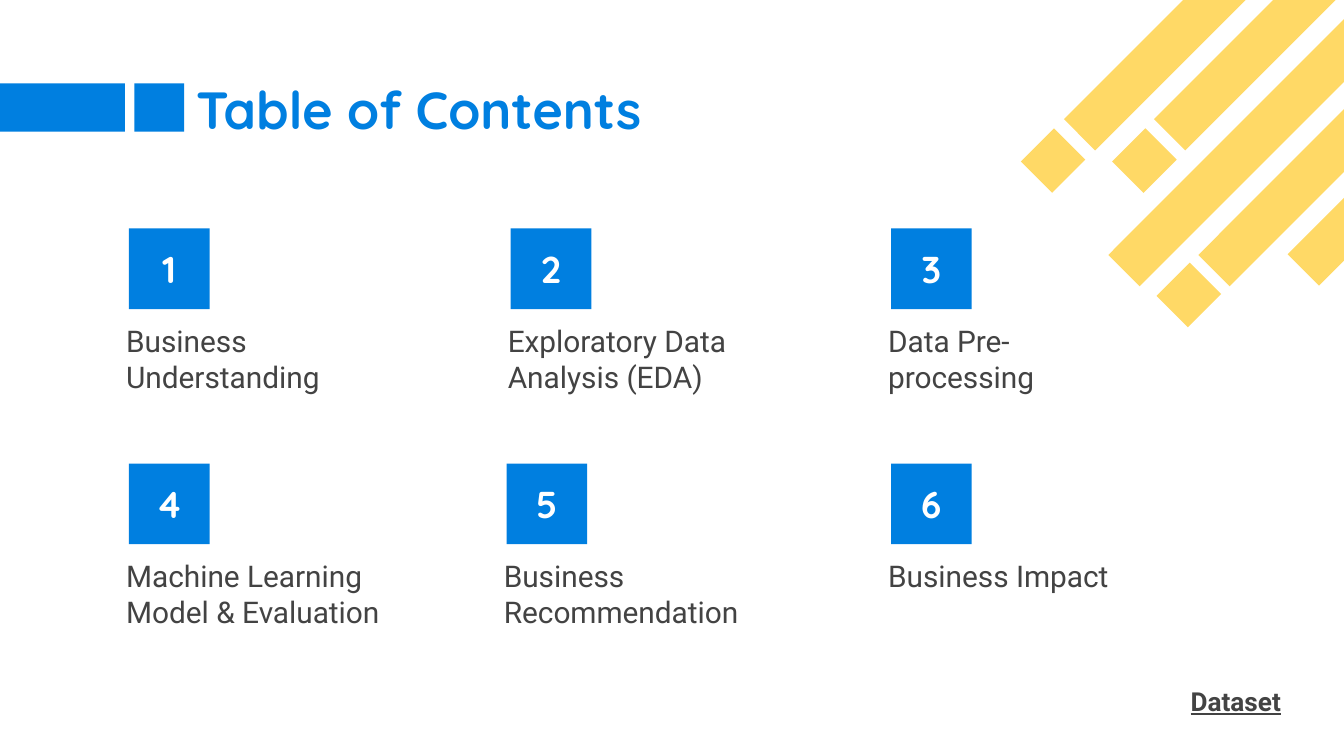
"""Build a table of contents slide with six numbered topics."""
from pptx import Presentation
from pptx import util as u
from pptx.dml.color import RGBColor
from pptx.enum import shapes, text

BLUE = RGBColor(0x00, 0x7F, 0xE0)
YELLOW = RGBColor(0xFF, 0xD9, 0x66)
GRAY = RGBColor(0x43, 0x43, 0x43)
WHITE = RGBColor(0xFF, 0xFF, 0xFF)

TITLE = "Table of Contents"
FOOTER = "Dataset"
TOPICS = [
    ("Business Understanding", 0.96, 2.38),
    ("Exploratory Data Analysis (EDA)", 3.8, 2.38),
    ("Data Pre-processing", 6.63, 2.17),
    ("Machine Learning Model & Evaluation", 0.96, 2.38),
    ("Business Recommendation", 3.77, 2.38),
    ("Business Impact", 6.63, 2.38),
]
COLUMNS, FIRST_ROW, ROW_STEP = 3, 1.7, 1.75
BADGE_SIZE, LABEL_OFFSET, LABEL_HEIGHT = 0.6, 0.12, 0.7

STRIPE_HEIGHT = 0.33
STRIPES = [
    (7.66, 1.03, 0.35), (7.59, -0.23, 3.02),
    (8.34, 1.03, 0.35), (8.26, -0.23, 3.02),
    (7.92, 0.78, 3.02), (9.5, 1.37, 1.34),
    (8.59, 0.78, 3.02), (8.67, 2.03, 0.35),
]
TITLE_BARS = [(0, 0.93), (1, 0.37)]


def add_rectangle(slide, left, top, width, height, color, rotation=0):
    shape = slide.shapes.add_shape(
        shapes.MSO_SHAPE.RECTANGLE,
        u.Inches(left), u.Inches(top), u.Inches(width), u.Inches(height))
    shape.fill.solid()
    shape.fill.fore_color.rgb = color
    shape.line.fill.background()
    shape.shadow.inherit = False
    shape.rotation = rotation
    return shape


def add_textbox(slide, left, top, width, height):
    return slide.shapes.add_textbox(
        u.Inches(left), u.Inches(top), u.Inches(width), u.Inches(height))


def write(shape, words, size, font="Roboto", color=GRAY, bold=False,
          underline=False, align=text.PP_ALIGN.LEFT, anchor=text.MSO_ANCHOR.TOP):
    frame = shape.text_frame
    frame.word_wrap = True
    frame.auto_size = text.MSO_AUTO_SIZE.NONE
    frame.vertical_anchor = anchor
    frame.margin_left = frame.margin_right = u.Inches(0.1)
    frame.margin_top = frame.margin_bottom = u.Inches(0.1)
    paragraph = frame.paragraphs[0]
    paragraph.alignment = align
    run = paragraph.add_run()
    run.text = words
    run.font.name = font
    run.font.size = u.Pt(size)
    run.font.bold = bold
    run.font.underline = underline
    run.font.color.rgb = color


def main():
    presentation = Presentation()
    presentation.slide_width = u.Inches(10)
    presentation.slide_height = u.Inches(10) * 9 // 16
    slide = presentation.slides.add_slide(presentation.slide_layouts[5])

    for left, top, width in STRIPES:
        add_rectangle(slide, left, top, width, STRIPE_HEIGHT, YELLOW, rotation=135)
    for left, width in TITLE_BARS:
        add_rectangle(slide, left, 0.62, width, 0.36, BLUE)

    title = slide.shapes.title
    title.left, title.top = u.Inches(1.36), u.Inches(0.57)
    title.width, title.height = u.Inches(6.78), u.Inches(0.47)
    write(title, TITLE, 28, font="Quicksand", color=BLUE, bold=True,
          anchor=text.MSO_ANCHOR.MIDDLE)

    for index, (topic, left, width) in enumerate(TOPICS):
        top = FIRST_ROW + index // COLUMNS * ROW_STEP
        badge = add_rectangle(slide, left, top, BADGE_SIZE, BADGE_SIZE, BLUE)
        write(badge, str(index + 1), 20, font="Quicksand", color=WHITE, bold=True,
              align=text.PP_ALIGN.CENTER, anchor=text.MSO_ANCHOR.MIDDLE)
        label = add_textbox(slide, left - LABEL_OFFSET, top + BADGE_SIZE,
                            width, LABEL_HEIGHT)
        write(label, topic, 16)

    footer = add_textbox(slide, 0.84, 5, 8.79, 0.44)
    write(footer, FOOTER, 14, bold=True, underline=True, align=text.PP_ALIGN.RIGHT)

    presentation.save("out.pptx")


if __name__ == "__main__":
    main()
